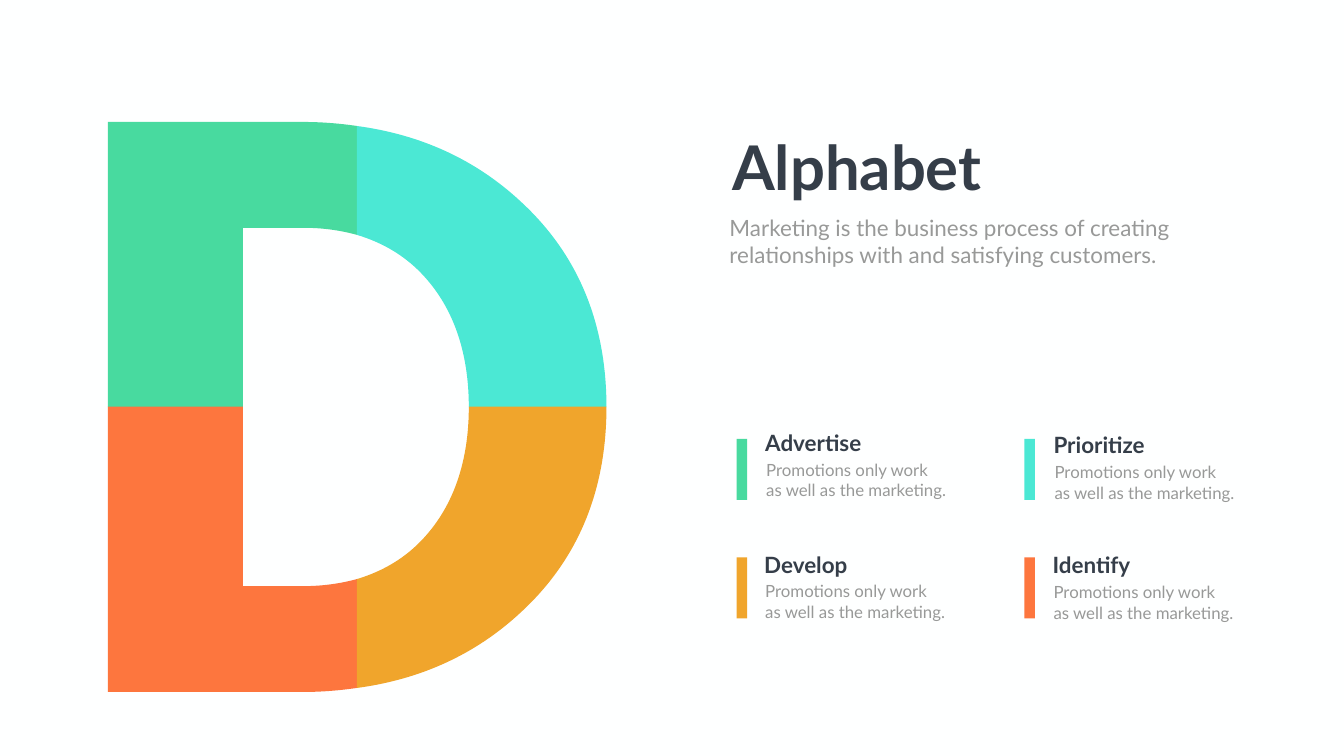
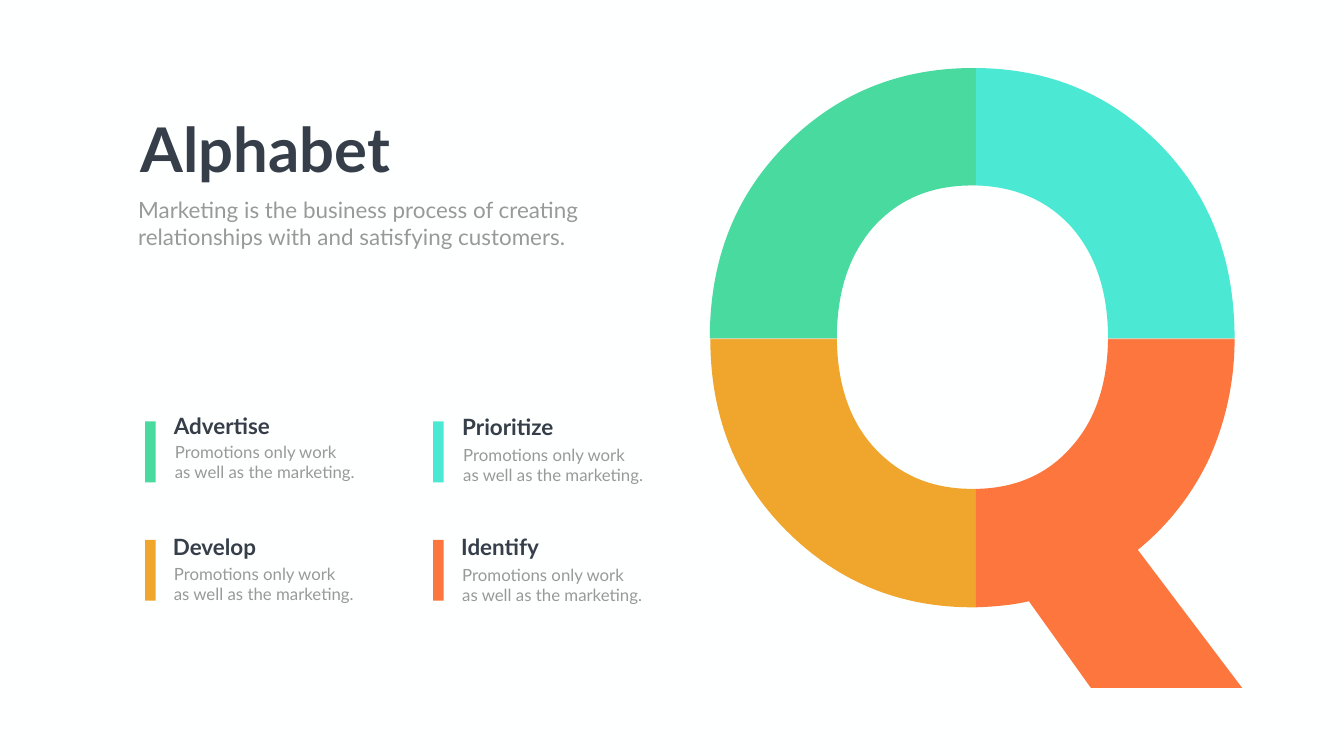
from dataclasses import dataclass
from pptx import Presentation, util as u
from pptx.dml.color import RGBColor
from pptx.enum import shapes, text
from pptx.oxml import ns, xmlchemy as ox


@dataclass(frozen=True)
class Theme:
    font: str = "Lato"
    paper: str = "FEFFFF"
    ink: str = "353E49"
    grey: str = "989998"
    hairline: str = "EAEAEA"
    green: str = "48DA9F"
    aqua: str = "4BE8D4"
    amber: str = "F0A52C"
    orange: str = "FD763E"
    title_size: int = 88
    lead_size: int = 32
    note_size: int = 24


theme = Theme()
CELL = u.Inches(1)          # the grid: square cells, 26.66 columns by 15 rows
COLUMNS, ROWS = 26.66, 15


def paint(shape, colour):
    shape.shadow.inherit = False
    shape.fill.solid()
    shape.fill.fore_color.rgb = RGBColor.from_string(colour)
    shape.line.fill.background()


def write(shape, words, box, size, colour, bold=False, align=text.PP_ALIGN.LEFT, wrap=True):
    shape.left, shape.top, shape.width, shape.height = (round(v * CELL) for v in box)
    frame = shape.text_frame
    frame.text = words
    frame.word_wrap = wrap
    frame.auto_size = text.MSO_AUTO_SIZE.SHAPE_TO_FIT_TEXT
    frame.vertical_anchor = text.MSO_ANCHOR.TOP
    for paragraph in frame.paragraphs:
        # Plain lines without the bullets and indents of the template
        props = paragraph._p.get_or_add_pPr()
        props.set("marL", "0")
        props.set("indent", "0")
        props.append(ox.OxmlElement("a:buNone"))
        paragraph.alignment = align
        paragraph.space_before = u.Pt(0)
        for run in paragraph.runs:
            run.font.name = theme.font
            run.font.size = u.Pt(size)
            run.font.bold = bold
            run.font.color.rgb = RGBColor.from_string(colour)


# Letter outlines in grid cells: two numbers are a corner, six a Bezier curve
D_SEAM, D_MIRROR, Q_SEAM = 8.08, 16.15, 6.72
d_stem = [(4.82, D_SEAM), (4.82, 4.52), (6.01, 4.52), (6.4, 4.52, 6.75, 4.57, 7.08, 4.66),
          (7.08, 2.5), (6.74, 2.45, 6.38, 2.42, 6.01, 2.42), (2.14, 2.42), (2.14, D_SEAM)]
d_bowl = [(7.08, 2.5), (8.35, 2.67, 9.44, 3.17, 10.33, 4),
          (11.46, 5.04, 12.03, 6.4, 12.03, D_SEAM), (9.3, D_SEAM),
          (9.3, 7, 9, 6.13, 8.42, 5.49), (8.06, 5.09, 7.61, 4.82, 7.08, 4.66)]
# The lower half of the D mirrors the upper one
d_foot, d_under = ([tuple(D_MIRROR - v if i % 2 else v for i, v in enumerate(step))
                    for step in upper] for upper in (d_stem, d_bowl))

q_left = [(16.6, Q_SEAM), (16.6, 5.77, 16.85, 5.05, 17.33, 4.5),
          (17.83, 3.95, 18.47, 3.68, 19.28, 3.68), (19.36, 3.68), (19.36, 1.35), (19.31, 1.35),
          (17.84, 1.35, 16.61, 1.85, 15.6, 2.86), (14.59, 3.87, 14.08, 5.14, 14.08, Q_SEAM)]
q_under = [(17.33, 8.87), (16.85, 8.34, 16.61, 7.61, 16.6, Q_SEAM), (14.09, Q_SEAM),
           (14.09, 8.25, 14.59, 9.52, 15.6, 10.53), (16.61, 11.54, 17.84, 12.05, 19.29, 12.05),
           (19.36, 12.05), (19.36, 9.7), (19.28, 9.7), (18.47, 9.7, 17.83, 9.42, 17.33, 8.87)]
q_right = [(21.25, 4.5), (21.73, 5.05, 21.98, 5.77, 21.98, Q_SEAM), (24.49, Q_SEAM),
           (24.49, 5.14, 24, 3.87, 23, 2.86), (22.01, 1.86, 20.8, 1.36, 19.36, 1.35),
           (19.36, 3.68), (20.14, 3.7, 20.78, 3.98, 21.25, 4.5)]
q_tail = [(23.99, 9.09), (24.31, 8.37, 24.49, 7.58, 24.49, Q_SEAM), (21.98, Q_SEAM),
          (21.97, 7.61, 21.73, 8.34, 21.25, 8.87), (20.78, 9.41, 20.14, 9.69, 19.36, 9.7),
          (19.36, 12.05), (19.7, 12.04, 20.05, 12.01, 20.41, 11.93), (21.64, 13.65),
          (24.64, 13.65), (22.57, 10.91), (23.16, 10.43, 23.64, 9.83, 23.99, 9.09)]

# Each slide: corner of the wording, coloured letter parts, starts of seam hairlines
pages = [
    ((14.37, 2.51), [(d_stem, theme.green), (d_foot, theme.orange),
                     (d_bowl, theme.aqua), (d_under, theme.amber)], []),
    ((2.64, 2.16), [(q_left, theme.green), (q_under, theme.amber),
                    (q_right, theme.aqua), (q_tail, theme.orange)], [14.09, 21.98]),
]
# Each topic: name, colour, drop below the corner of the wording
topics = [("Advertise", theme.green, 5.96), ("Prioritize", theme.aqua, 5.99),
          ("Develop", theme.amber, 8.37), ("Identify", theme.orange, 8.37)]

prs = Presentation()
prs.slide_width, prs.slide_height = round(COLUMNS * CELL), ROWS * CELL
backdrop = prs.slide_master.background.fill
backdrop.solid()
backdrop.fore_color.rgb = RGBColor.from_string(theme.paper)

for (left, top), letter, hairlines in pages:
    slide = prs.slides.add_slide(prs.slide_layouts[1])

    # Letter: straight sides first, then the curved ones bent
    for outline, colour in letter:
        corners = [tuple(round(v * CELL) for v in step[-2:]) for step in outline]
        builder = slide.shapes.build_freeform(*corners[0])
        builder.add_line_segments(corners[1:], close=True)
        part = builder.convert_to_shape()
        paint(part, colour)
        sides = list(part._element.iter(ns.qn("a:lnTo")))
        for side, step in zip(sides, outline[1:]):
            if len(step) == 6:
                curve = ox.OxmlElement("a:cubicBezTo")
                for x, y in zip(step[::2], step[1::2]):
                    handle = ox.OxmlElement("a:pt")
                    handle.set("x", str(round(x * CELL) - part.left))
                    handle.set("y", str(round(y * CELL) - part.top))
                    curve.append(handle)
                side.getparent().replace(side, curve)
    for start in hairlines:
        seam_line = slide.shapes.add_shape(
            shapes.MSO_SHAPE.RECTANGLE,
            *(round(v * CELL) for v in (start, Q_SEAM, 2.51, 0.01)))
        paint(seam_line, theme.hairline)

    # Heading
    write(slide.shapes.title, "Alphabet", (left, top, 5.25, 1.58), theme.title_size,
          theme.ink, bold=True, align=text.PP_ALIGN.CENTER, wrap=False)
    write(slide.placeholders[1],
          "Marketing is the business process of creating\n"
          "relationships with and satisfying customers.",
          (left, top + 1.69, 9.08, 1.18), theme.lead_size, theme.grey)

    # Topics, two by two
    for index, (topic, colour, drop) in enumerate(topics):
        row, column = divmod(index, 2)
        x, y = left + 5.71 * column, top + drop
        bar = slide.shapes.add_shape(
            shapes.MSO_SHAPE.RECTANGLE,
            *(round(v * CELL) for v in (x + 0.24, top + 6.2 + 2.35 * row, 0.21, 1.21)))
        paint(bar, colour)
        x += 0.71 - 0.02 * row + 0.01 * column
        write(slide.shapes.add_textbox(0, 0, 0, 0), topic, (x, y, 2.21, 0.64),
              theme.lead_size, theme.ink, bold=True)
        write(slide.shapes.add_textbox(0, 0, 0, 0),
              "Promotions only work\nas well as the marketing.",
              (x + 0.02, y + 0.6 + 0.02 * column, 3.82, 0.91), theme.note_size, theme.grey)

prs.save("out.pptx")
